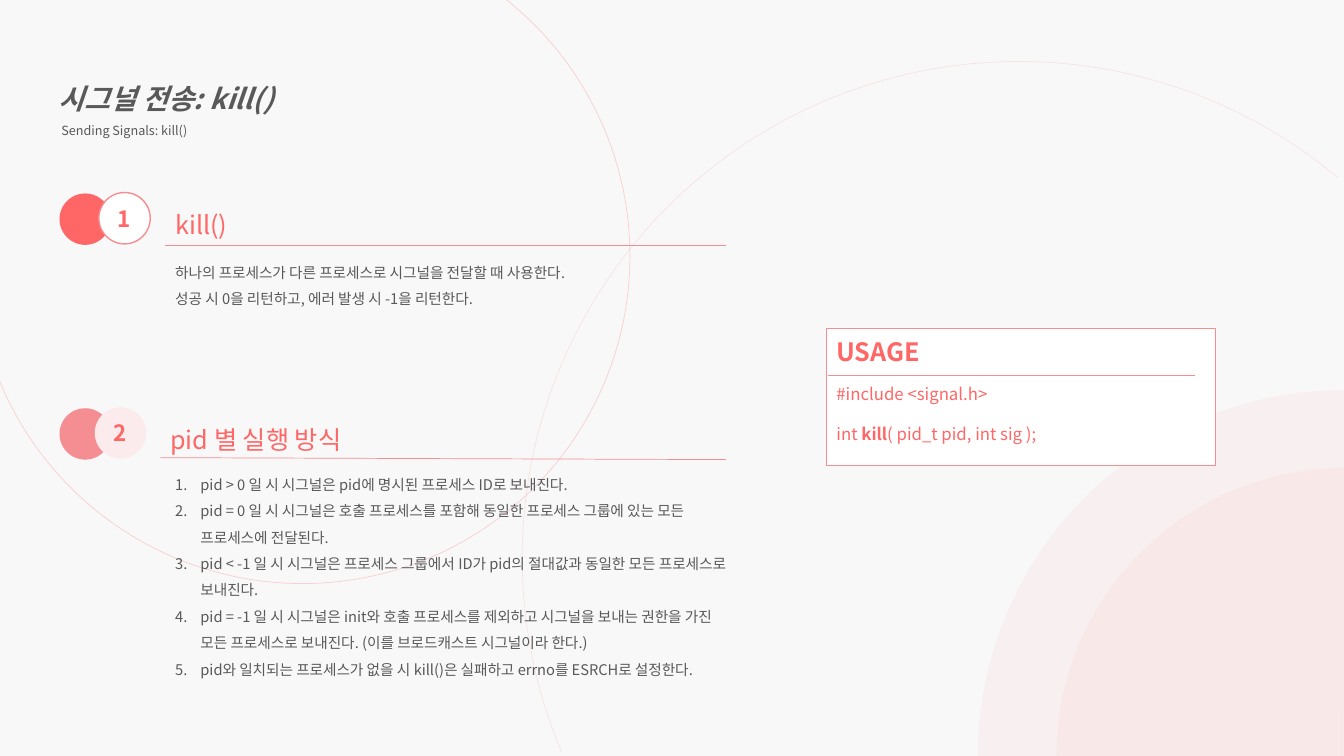
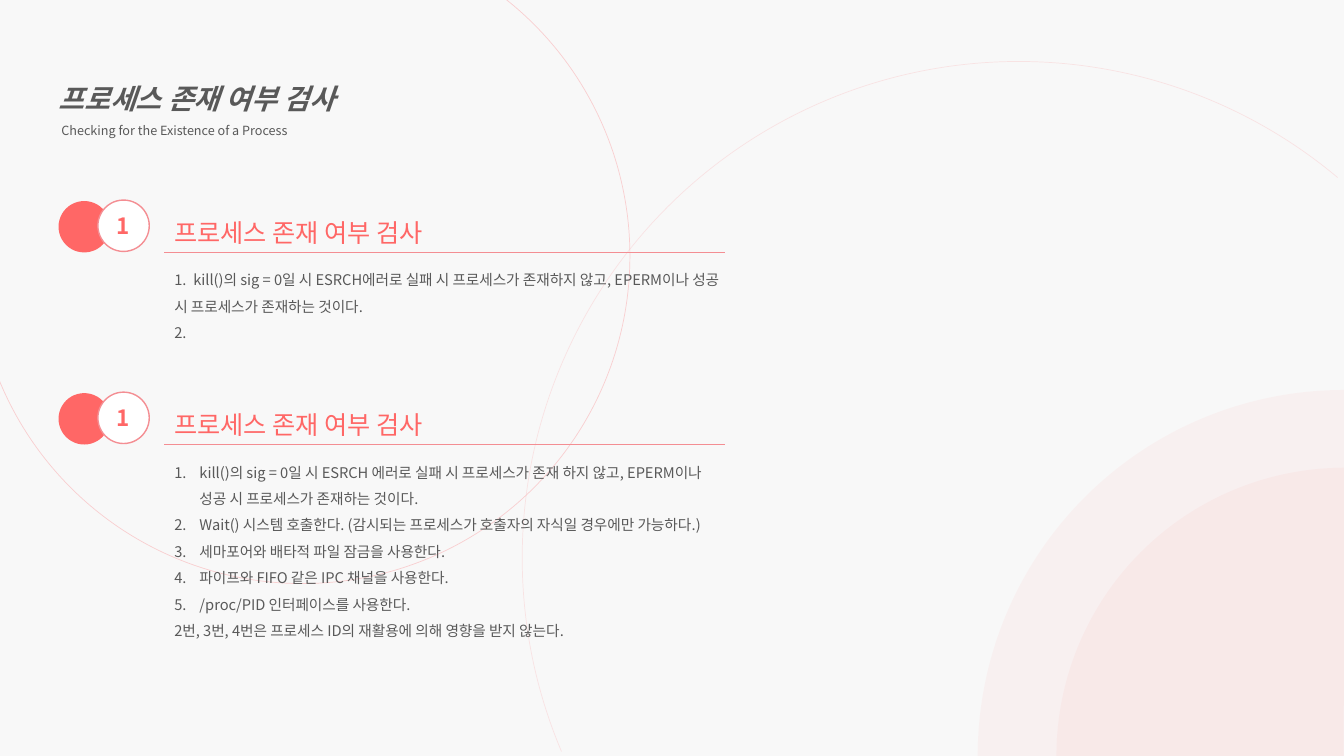
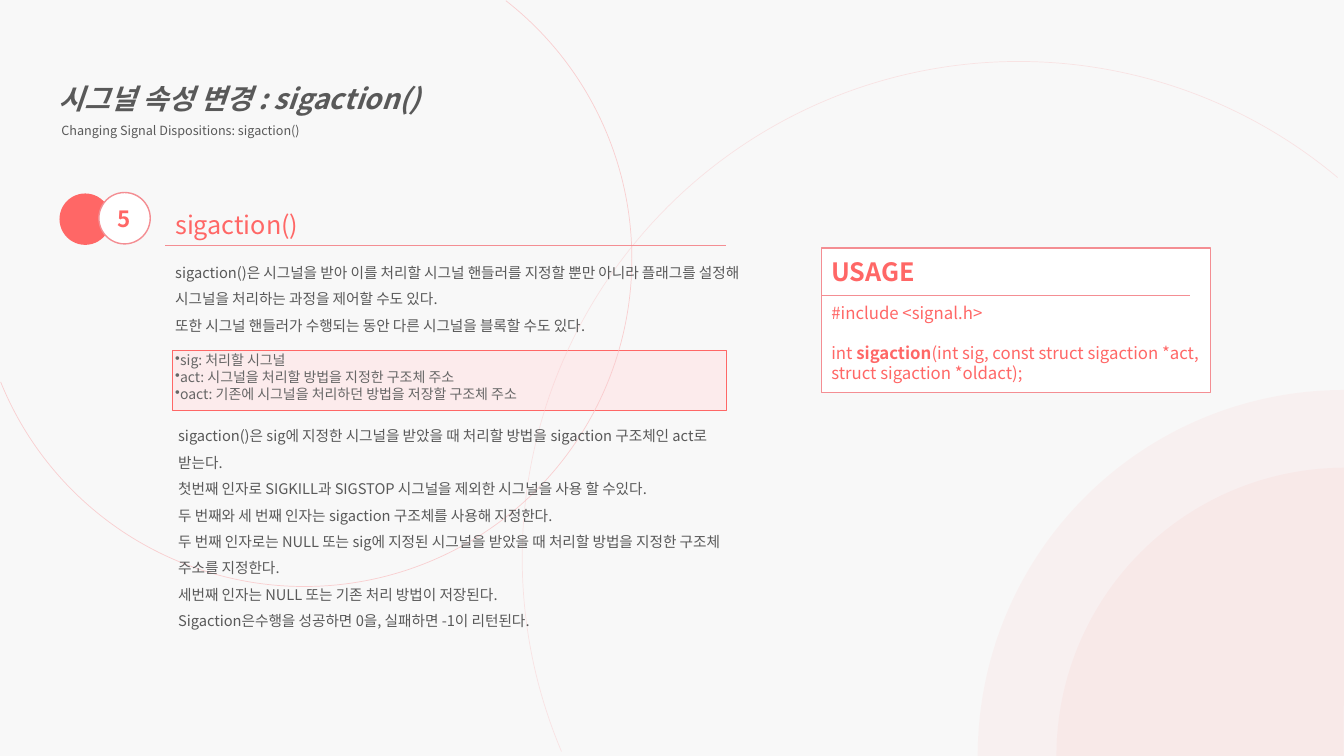
from dataclasses import dataclass
from typing import Optional

from lxml import etree
from pptx import Presentation
from pptx.dml import color
from pptx.enum import shapes, text
from pptx.oxml import ns
from pptx.util import Pt

FONT = "Noto Sans CJK KR"
PAPER, WHITE = "F8F8F8", "FFFFFF"
CORAL, ROSE, BLUSH, ARC_PINK = "FF6766", "F48E93", "FCEBEC", "FAC6C8"
INK, GRAY = "595959", "666666"
DISC = 36.7


@dataclass(frozen=True)
class Run:
    text: str
    bold: bool = False
    italic: bool = False


@dataclass(frozen=True)
class Para:
    runs: tuple[Run, ...]
    size: float = 10.5
    color: str = INK
    spacing: Optional[float] = 1.5
    before: float = 0
    indent: float = 0
    tab: Optional[float] = None
    numbered: bool = False
    bullet: Optional[str] = None


@dataclass(frozen=True)
class Box:
    left: float
    top: float
    width: float
    height: float


@dataclass(frozen=True)
class Arc:
    left: float
    top: float
    size: float
    start: float
    end: float
    alpha: int
    filled: bool = False


@dataclass(frozen=True)
class Section:
    left: float
    top: float
    number: str
    heading: str
    body: tuple[Para, ...]
    body_width: float
    body_height: float
    body_dy: float = 40.3
    disc_color: str = CORAL
    badge_dx: float = 28.1
    badge_fill: str = WHITE
    badge_line: Optional[str] = ROSE
    heading_dx: float = 75.6
    rule_dy: float = 36.7
    rule_drop: float = 0


@dataclass(frozen=True)
class Usage:
    left: float
    top: float
    height: float
    before: str
    name: str
    after: str


RIGHT_ARC = Arc(373, 43.9, 709.2, 94.23, 185.989, 42)
LEFT_ARC = Arc(-18, -51.1, 468, 184.792, 94.759, 82)
LOWER_LEFT_ARC = Arc(-16.6, -49, 468, 184.792, 94.759, 82)
CORNER_ARCS = (
    Arc(754.6, 334.1, 411.8, 107.642, 162.104, 5, True),
    Arc(698.4, 278.6, 522.7, 107.642, 162.104, 5, True),
)


def rgb(value: str) -> color.RGBColor:
    return color.RGBColor.from_string(value)


def plain(value: str, **style) -> Para:
    return Para((Run(value),), **style)


def item(value: str) -> Para:
    return plain(value, indent=18, numbered=True)


def add_child(parent, tag: str, **attrs: str):
    return etree.SubElement(parent, ns.qn(tag), attrs)


def write(tf, paras: tuple[Para, ...], align=text.PP_ALIGN.LEFT) -> None:
    for i, para in enumerate(paras):
        p = tf.paragraphs[0] if i == 0 else tf.add_paragraph()
        p.alignment = align
        if para.spacing:
            p.line_spacing = para.spacing
        if para.before:
            p.space_before = Pt(para.before)
        pPr = p._p.get_or_add_pPr()
        if para.indent:
            pPr.set("marL", str(Pt(para.indent)))
        if para.numbered:
            pPr.set("indent", str(Pt(-para.indent)))
            add_child(pPr, "a:buFont", typeface="+mj-lt")
            add_child(pPr, "a:buAutoNum", type="arabicPeriod")
        elif para.bullet:
            add_child(pPr, "a:buChar", char=para.bullet)
        if para.tab:
            tabs = add_child(pPr, "a:tabLst")
            add_child(tabs, "a:tab", pos=str(Pt(para.tab)), algn="l")
        for run in para.runs:
            r = p.add_run()
            r.text = run.text
            r.font.size = Pt(para.size)
            r.font.bold = run.bold
            r.font.italic = run.italic
            r.font.color.rgb = rgb(para.color)
            r.font.name = FONT
            add_child(r._r.get_or_add_rPr(), "a:ea", typeface=FONT)


def add_text(slide, box: Box, *paras: Para) -> None:
    tb = slide.shapes.add_textbox(Pt(box.left), Pt(box.top), Pt(box.width), Pt(box.height))
    tf = tb.text_frame
    tf.word_wrap = True
    tf.auto_size = text.MSO_AUTO_SIZE.SHAPE_TO_FIT_TEXT
    write(tf, paras)


def add_shape(slide, kind, box: Box, fill: Optional[str], line: Optional[str] = None,
              weight: float = 1):
    sp = slide.shapes.add_shape(kind, Pt(box.left), Pt(box.top), Pt(box.width), Pt(box.height))
    sp.shadow.inherit = False
    if fill:
        sp.fill.solid()
        sp.fill.fore_color.rgb = rgb(fill)
    else:
        sp.fill.background()
    if line:
        sp.line.color.rgb = rgb(line)
        sp.line.width = Pt(weight)
    else:
        sp.line.fill.background()
    return sp


def add_rule(slide, x1: float, y1: float, x2: float, y2: float) -> None:
    cx = slide.shapes.add_connector(
        shapes.MSO_CONNECTOR.STRAIGHT, Pt(x1), Pt(y1), Pt(x2), Pt(y2))
    cx.line.color.rgb = rgb(ROSE)
    cx.line.width = Pt(0.5)
    add_child(cx._element.spPr, "a:effectLst")


def add_arc(slide, arc: Arc) -> None:
    fill, line = (CORAL, None) if arc.filled else (None, ARC_PINK)
    box = Box(arc.left, arc.top, arc.size, arc.size)
    sp = add_shape(slide, shapes.MSO_SHAPE.ARC, box, fill, line, 0.5)
    sp.adjustments[0] = arc.start
    sp.adjustments[1] = arc.end
    for clr in sp._element.spPr.iter(ns.qn("a:srgbClr")):
        add_child(clr, "a:alpha", val=str(arc.alpha * 1000))


def add_backdrop(slide, left_arc: Arc = LEFT_ARC) -> None:
    for arc in (RIGHT_ARC, left_arc, *CORNER_ARCS):
        add_arc(slide, arc)


def add_slide(prs, title: str, subtitle: str):
    slide = prs.slides.add_slide(prs.slide_layouts[5])
    sp = slide.shapes.title
    sp.left, sp.top, sp.width, sp.height = Pt(34.6), Pt(42.5), Pt(635.8), Pt(59.8)
    tf = sp.text_frame
    tf.word_wrap = True
    tf.auto_size = text.MSO_AUTO_SIZE.NONE
    tf.vertical_anchor = text.MSO_ANCHOR.TOP
    write(tf, (Para((Run(title, True, True),), size=20),
               plain(subtitle, size=9, indent=2)))
    return slide


def add_section(slide, sec: Section) -> None:
    oval = shapes.MSO_SHAPE.OVAL
    add_shape(slide, oval, Box(sec.left, sec.top, DISC, DISC), sec.disc_color)
    badge = add_shape(slide, oval, Box(sec.left + sec.badge_dx, sec.top - 0.7, DISC, DISC),
                      sec.badge_fill, sec.badge_line)
    badge.text_frame.word_wrap = False
    badge.text_frame.vertical_anchor = text.MSO_ANCHOR.MIDDLE
    write(badge.text_frame,
          (Para((Run(sec.number, True),), size=16, color=CORAL, spacing=None),),
          text.PP_ALIGN.CENTER)
    x = sec.left + sec.heading_dx
    add_text(slide, Box(x, sec.top + 7.9, 400, 29),
             plain(sec.heading, size=18, color=CORAL, spacing=None))
    y = sec.top + sec.rule_dy
    add_rule(slide, x, y, sec.left + 475.9, y + sec.rule_drop)
    add_text(slide, Box(sec.left + 75.6, sec.top + sec.body_dy, sec.body_width, sec.body_height),
             *sec.body)


def add_usage(slide, use: Usage) -> None:
    x, y = use.left, use.top
    add_shape(slide, shapes.MSO_SHAPE.RECTANGLE, Box(x, y, 278, use.height), WHITE, ROSE)
    add_rule(slide, x + 0.7, y + 33.5, x + 263.5, y + 33.5)
    add_text(slide, Box(x, y + 2.2, 175.7, 29),
             Para((Run("USAGE", True),), size=18, color=CORAL, spacing=None))
    add_text(slide, Box(x, y + 35.5, 278.6, use.height - 38),
             plain("#include <signal.h>", size=12, color=CORAL, spacing=None),
             Para((Run(use.before), Run(use.name, True), Run(use.after)),
                  size=12, color=CORAL, spacing=None, before=14.2))


def build_kill(prs) -> None:
    slide = add_slide(prs, "시그널 전송: kill()", "Sending Signals: kill()")
    add_backdrop(slide)
    add_section(slide, Section(42.5, 138.2, "1", "kill()", (
        plain("하나의 프로세스가 다른 프로세스로 시그널을 전달할 때 사용한다."),
        plain("성공 시 0을 리턴하고, 에러 발생 시 -1을 리턴한다."),
    ), 452.9, 61.9))
    add_usage(slide, Usage(590.4, 234.7, 97.9, "int ", "kill", "( pid_t pid, int sig );"))
    add_section(slide, Section(42.5, 291.6, "2", "pid 별 실행 방식", (
        item("pid > 0 일 시 시그널은 pid에 명시된 프로세스 ID로 보내진다."),
        item("pid = 0 일 시 시그널은 호출 프로세스를 포함해 동일한 프로세스 그룹에 있는 모든 "
             "프로세스에 전달된다."),
        item("pid < -1 일 시 시그널은 프로세스 그룹에서 ID가 pid의 절대값과 동일한 모든 "
             "프로세스로 보내진다."),
        item("pid = -1 일 시 시그널은 init와 호출 프로세스를 제외하고 시그널을 보내는 권한을 가진 "
             "모든 프로세스로 보내진다. (이를 브로드캐스트 시그널이라 한다.)"),
        item("pid와 일치되는 프로세스가 없을 시 kill()은 실패하고 errno를 ESRCH로 설정한다."),
    ), 411.8, 157.7, body_dy=38.2, disc_color=ROSE, badge_dx=25.2, badge_fill=BLUSH,
        badge_line=None, heading_dx=72, rule_dy=35.3, rule_drop=1.4))


def build_existence(prs) -> None:
    heading = "프로세스 존재 여부 검사"
    slide = add_slide(prs, heading, "Checking for the Existence of a Process")
    add_backdrop(slide)
    add_section(slide, Section(41.8, 143.6, "1", heading, (
        plain("1.\tkill()의 sig = 0일 시 ESRCH에러로 실패 시 프로세스가 존재하지 않고, "
              "EPERM이나 성공 시 프로세스가 존재하는 것이다.", tab=13.6),
        plain("2."),
    ), 409, 61.9))
    add_section(slide, Section(41.8, 280.8, "1", heading, (
        item("kill()의 sig = 0일 시 ESRCH 에러로 실패 시 프로세스가 존재 하지 않고, "
             "EPERM이나 성공 시 프로세스가 존재하는 것이다."),
        item("Wait() 시스템 호출한다. (감시되는 프로세스가 호출자의 자식일 경우에만 가능하다.)"),
        item("세마포어와 배타적 파일 잠금을 사용한다."),
        item("파이프와 FIFO 같은 IPC 채널을 사용한다."),
        item("/proc/PID 인터페이스를 사용한다."),
        plain("2번, 3번, 4번은 프로세스 ID의 재활용에 의해 영향을 받지 않는다."),
    ), 409, 157.7))


def build_sigaction(prs) -> None:
    slide = add_slide(prs, "시그널 속성 변경 : sigaction()",
                      "Changing Signal Dispositions: sigaction()")
    add_shape(slide, shapes.MSO_SHAPE.RECTANGLE, Box(123.1, 250.4, 395.3, 42.7),
              BLUSH, CORAL, 0.25)
    add_backdrop(slide, LOWER_LEFT_ARC)
    arg = dict(size=10, color=GRAY, spacing=None, bullet="•")
    add_section(slide, Section(42.5, 138.2, "5", "sigaction()", (
        plain("sigaction()은 시그널을 받아 이를 처리할 시그널 핸들러를 지정할 뿐만 아니라 "
              "플래그를 설정해 시그널을 처리하는 과정을 제어할 수도 있다."),
        plain("또한 시그널 핸들러가 수행되는 동안 다른 시그널을 블록할 수도 있다."),
        plain("sig: 처리할 시그널", before=12.6, **arg),
        plain("act: 시그널을 처리할 방법을 지정한 구조체 주소", **arg),
        plain("oact: 기존에 시그널을 처리하던 방법을 저장할 구조체 주소", **arg),
    ), 452.9, 166.3))
    add_usage(slide, Usage(586.8, 177.3, 103, "int ", "sigaction",
                           "(int sig, const struct sigaction *act, struct sigaction *oldact);"))
    add_text(
        slide, Box(120.2, 295.2, 409, 159.8),
        plain("sigaction()은 sig에 지정한 시그널을 받았을 때 처리할 방법을 sigaction 구조체인 "
              "act로 받는다."),
        plain("첫번째 인자로 SIGKILL과 SIGSTOP 시그널을 제외한 시그널을 사용 할 수있다."),
        plain("두 번째와 세 번째 인자는 sigaction 구조체를 사용해 지정한다."),
        plain("두 번째 인자로는 NULL 또는 sig에 지정된 시그널을 받았을 때 처리할 방법을 지정한 "
              "구조체 주소를 지정한다."),
        plain("세번째 인자는 NULL 또는 기존 처리 방법이 저장된다."),
        plain("Sigaction은수행을 성공하면 0을, 실패하면 -1이 리턴된다."),
    )


def main() -> None:
    prs = Presentation()
    prs.slide_width, prs.slide_height = Pt(960), Pt(540)
    bg = prs.slide_master.background.fill
    bg.solid()
    bg.fore_color.rgb = rgb(PAPER)
    build_kill(prs)
    build_existence(prs)
    build_sigaction(prs)
    prs.save("out.pptx")


if __name__ == "__main__":
    main()
